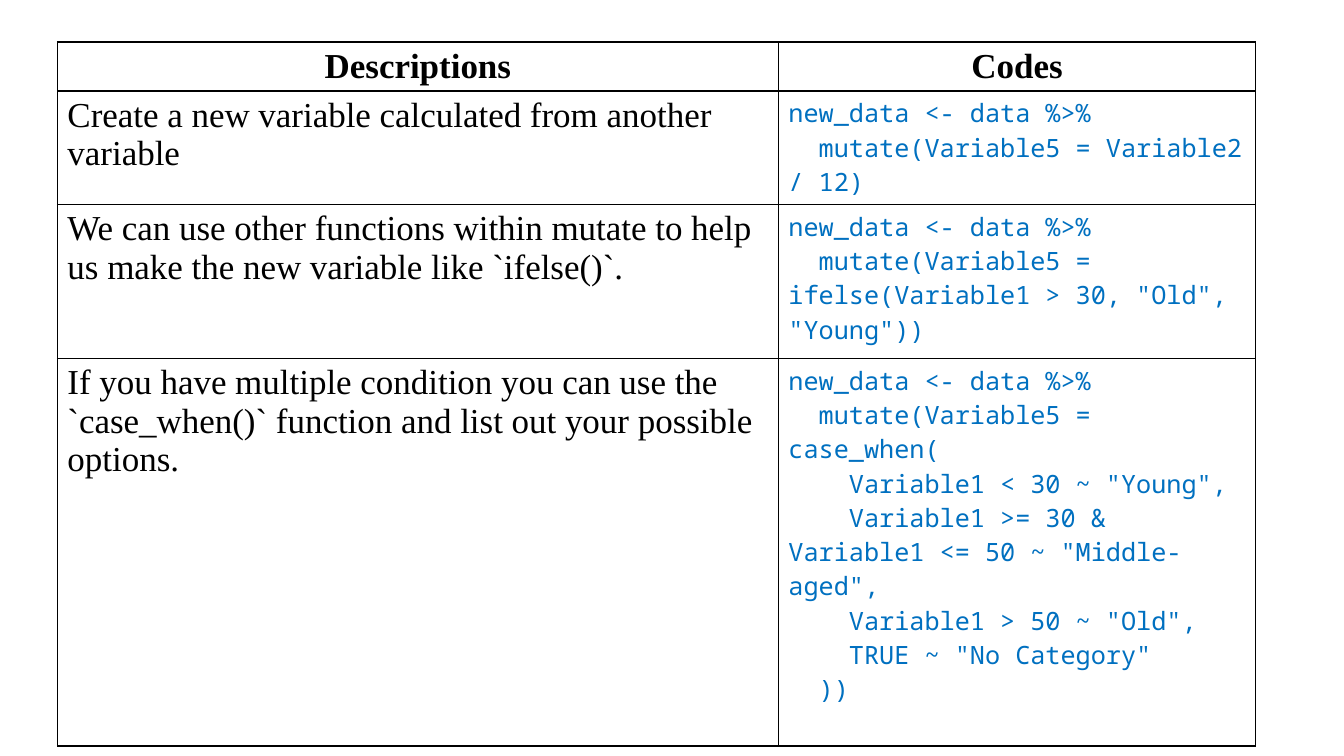
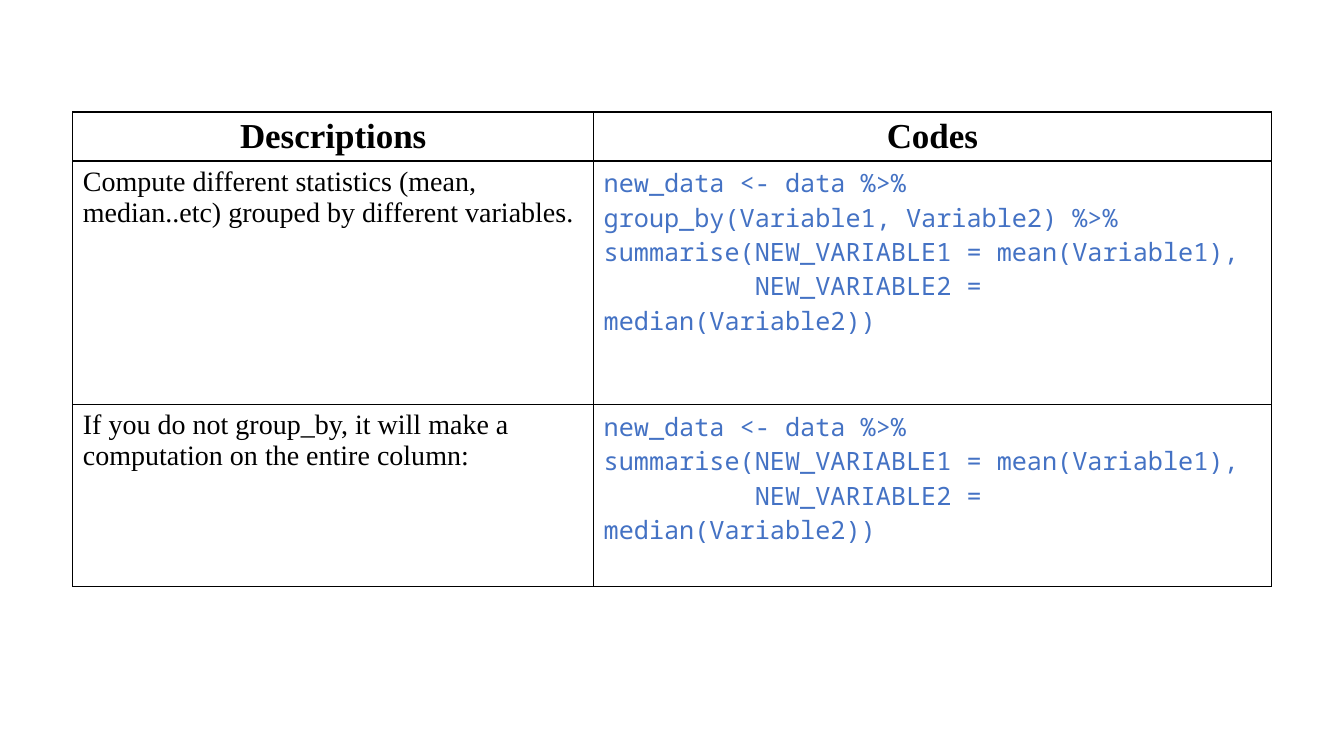
from lxml.etree import SubElement as Sub
from pptx import Presentation
from pptx.dml.color import RGBColor
from pptx.enum.text import PP_ALIGN as Align
from pptx.oxml.ns import qn
from pptx.util import Pt

HEADS = ["Descriptions", "Codes"]
BLACK = "000000"

# Leading blanks in a code line set its first-line indent.
SLIDES = [
    dict(left=41, top=30, cols=[515, 341], rows=[35, 81, 110, 277],
         size=25, tint="0070C0", body=[
        ("Create a new variable calculated from another variable",
         ["new_data <- data %>%",
          "  mutate(Variable5 = Variable2 / 12)"]),
        ("We can use other functions within mutate to help us make the new "
         "variable like `ifelse()`.",
         ["new_data <- data %>%",
          '  mutate(Variable5 = ifelse(Variable1 > 30, "Old", "Young"))']),
        ("If you have multiple condition you can use the `case_when()` "
         "function and list out your possible options.",
         ["new_data <- data %>%",
          "  mutate(Variable5 = case_when(",
          '    Variable1 < 30 ~ "Young",',
          '    Variable1 >= 30 & Variable1 <= 50 ~ "Middle-aged",',
          '    Variable1 > 50 ~ "Old",',
          '    TRUE ~ "No Category"',
          "  ))"]),
    ]),
    dict(left=52, top=80, cols=[372, 484], rows=[35, 174, 130],
         size=20, tint="4472C4", body=[
        ("Compute different statistics (mean, median..etc) grouped by "
         "different variables.",
         ["new_data <- data %>%",
          "group_by(Variable1, Variable2) %>%",
          "summarise(NEW_VARIABLE1 = mean(Variable1),",
          "          NEW_VARIABLE2 = median(Variable2))"]),
        ("If you do not group_by, it will make a computation on the entire "
         "column:",
         ["new_data <- data %>%",
          "summarise(NEW_VARIABLE1 = mean(Variable1),",
          "          NEW_VARIABLE2 = median(Variable2))"]),
    ]),
]

SERIF = dict(name="Times New Roman", bold=False)
HEAD = dict(SERIF, size=Pt(25), bold=True)
CODE = dict(name="Noto Sans Mono", size=Pt(18), bold=False)
STEP = 10.8  # width of one code letter


def rgb(tint):
    return RGBColor.from_string(tint)


def frame(cell):
    """Clear the fill and draw a thin line on each side."""
    props = cell._tc.get_or_add_tcPr()
    for side in ("lnL", "lnR", "lnT", "lnB"):
        line = Sub(props, qn("a:" + side), w=str(Pt(1)))
        Sub(Sub(line, qn("a:solidFill")), qn("a:srgbClr"), val=BLACK)
    cell.fill.background()


def write(cell, lines, form, tint=BLACK, align=Align.LEFT):
    frame(cell)
    text = cell.text_frame
    for i, line in enumerate(lines):
        para = text.add_paragraph() if i else text.paragraphs[0]
        para.alignment = align
        words = line.lstrip()
        indent = Pt(STEP * (len(line) - len(words)))
        para._p.get_or_add_pPr().set("indent", str(indent))
        run = para.add_run()
        run.text = words
        for key, val in form.items():
            setattr(run.font, key, val)
        run.font.color.rgb = rgb(tint)


def add_grid(slide, left, top, cols, rows, size, tint, body):
    spots = map(Pt, (left, top, sum(cols), sum(rows)))
    grid = slide.shapes.add_table(len(rows), len(cols), *spots).table
    grid.first_row = grid.horz_banding = False
    for col, width in zip(grid.columns, cols):
        col.width = Pt(width)
    for row, height in zip(grid.rows, rows):
        row.height = Pt(height)
    for c, head in enumerate(HEADS):
        write(grid.cell(0, c), [head], HEAD, align=Align.CENTER)
    for r, (note, code) in enumerate(body, 1):
        write(grid.cell(r, 0), [note], dict(SERIF, size=Pt(size)))
        write(grid.cell(r, 1), code, CODE, tint)


def main():
    deck = Presentation()
    deck.slide_width, deck.slide_height = Pt(960), Pt(540)
    blank = deck.slide_layouts[6]
    for data in SLIDES:
        add_grid(deck.slides.add_slide(blank), **data)
    deck.save("out.pptx")


if __name__ == "__main__":
    main()
